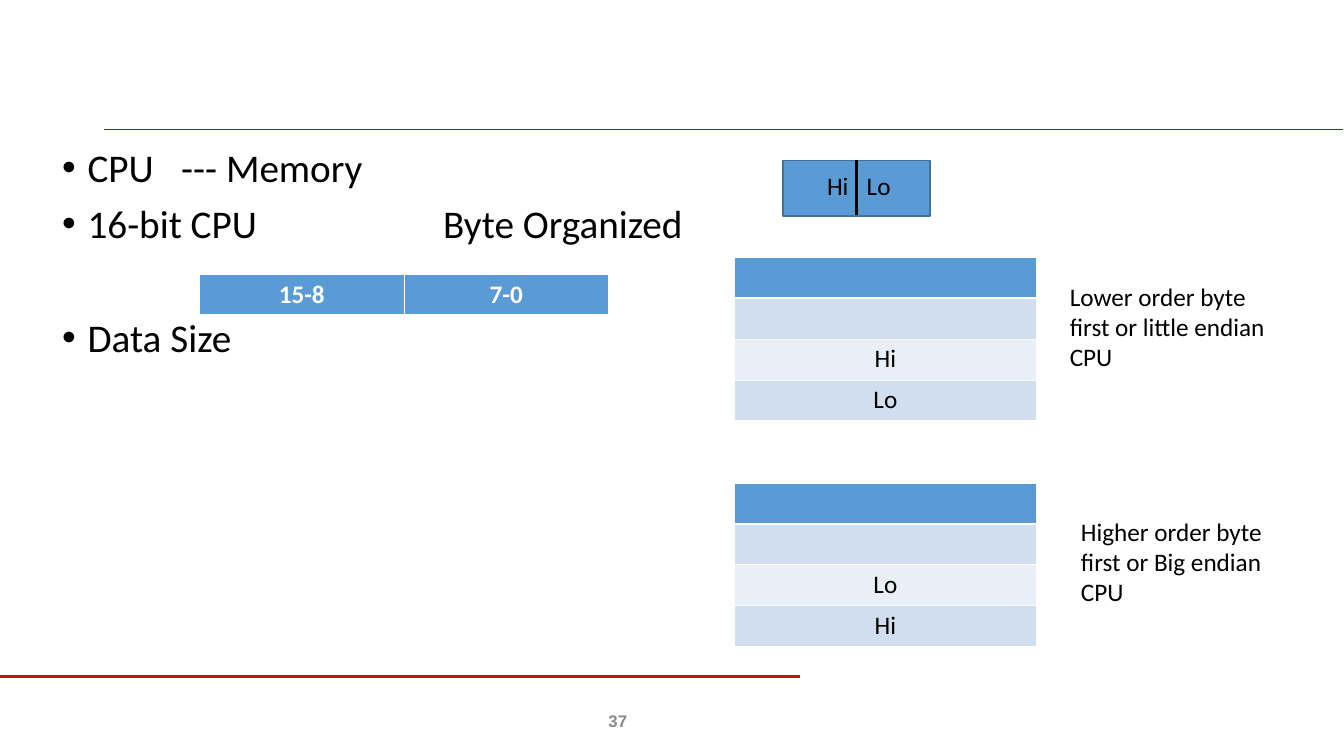
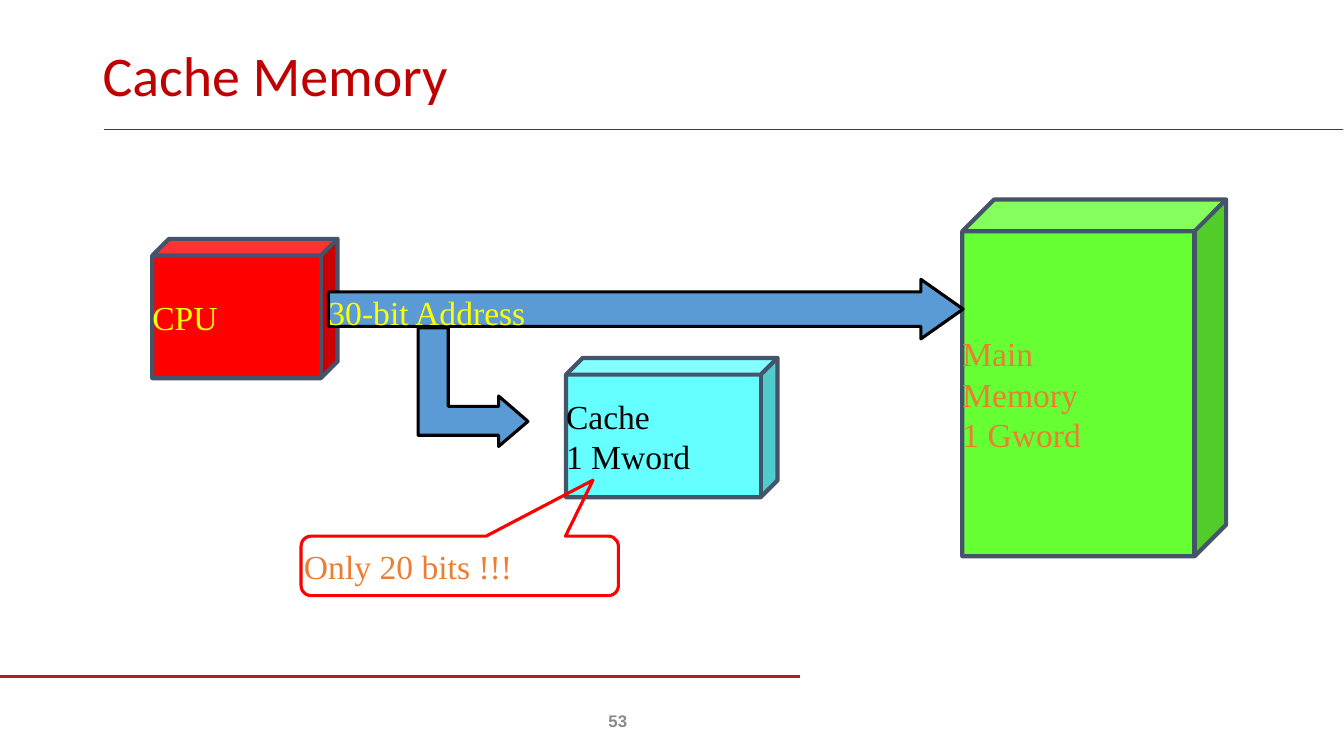
from dataclasses import dataclass

from lxml import etree
from pptx import Presentation
from pptx.dml.color import RGBColor
from pptx.enum.shapes import MSO_CONNECTOR, MSO_SHAPE
from pptx.enum.text import MSO_ANCHOR, PP_ALIGN
from pptx.oxml import parse_xml
from pptx.oxml.ns import nsdecls, qn
from pptx.util import Cm, Pt


@dataclass(frozen=True)
class Theme:
    title: str = "C00000"
    footer_rule: str = "B71C18"
    blue: str = "5B9BD5"
    blue_edge: str = "42719B"
    band_dark: str = "D1DEEF"
    band_light: str = "E9EFF7"
    slate: str = "44546A"
    red: str = "FF0000"
    cyan: str = "66FFFF"
    green: str = "66FF33"
    yellow: str = "FFFF00"
    orange: str = "ED7D31"
    grey: str = "898989"
    black: str = "000000"
    white: str = "FFFFFF"
    sans: str = "Calibri"
    serif: str = "Times New Roman"
    number: str = "Arial"
    title_size: int = 40
    body_size: int = 28
    diagram_size: int = 24
    label_size: int = 18
    number_size: int = 12


T = Theme()


def rgb(color):
    return RGBColor.from_string(color)


def write(tf, text, size=T.label_size, font=T.sans, color=T.black, bold=False,
          align=PP_ALIGN.LEFT, line=None, before=(), bullet=False, tabs=()):
    for i, words in enumerate(text.split("\n")):
        p = tf.paragraphs[0] if i == 0 else tf.add_paragraph()
        p.alignment = align
        if line:
            p.line_spacing = line
        if before:
            p.space_before = Pt(before[i])
        pPr = p._p.get_or_add_pPr()
        if bullet:
            pPr.set("marL", str(Cm(0.64)))
            pPr.set("indent", str(-Cm(0.64)))
            etree.SubElement(pPr, qn("a:buFont"), typeface="Arial")
            etree.SubElement(pPr, qn("a:buChar"), char="•")
        if tabs and tabs[i]:
            stops = etree.SubElement(pPr, qn("a:tabLst"))
            etree.SubElement(stops, qn("a:tab"), pos=str(Cm(tabs[i])), algn="l")
        r = p.add_run()
        r.text = words
        r.font.size = Pt(size)
        r.font.name = font
        r.font.bold = bold
        r.font.color.rgb = rgb(color)


class Deck:
    def __init__(self):
        self.prs = Presentation()
        self.prs.slide_width, self.prs.slide_height = Cm(33.88), Cm(19.05)
        self.s = None

    def slide(self, number, title=None):
        self.s = self.prs.slides.add_slide(self.prs.slide_layouts[6])
        self.line(2.62, 3.25, 33.86, 3.25, T.title, 0.5)
        self.line(20.17, 17.04, 0, 17.04, T.footer_rule, 2.25)
        if title:
            self.text(2.34, 1.02, 29.21, 1.9, title, anchor=MSO_ANCHOR.MIDDLE,
                      size=T.title_size, color=T.title, line=0.9)
        self.text(14.1, 17.65, 1.96, 1.02, str(number), anchor=MSO_ANCHOR.MIDDLE,
                  size=T.number_size, font=T.number, color=T.grey, bold=True,
                  align=PP_ALIGN.RIGHT)

    def line(self, x1, y1, x2, y2, color, width):
        c = self.s.shapes.add_connector(MSO_CONNECTOR.STRAIGHT,
                                        Cm(x1), Cm(y1), Cm(x2), Cm(y2))
        c.line.color.rgb = rgb(color)
        c.line.width = Pt(width)
        etree.SubElement(c._element.spPr, qn("a:effectLst"))

    def text(self, x, y, w, h, text, anchor=MSO_ANCHOR.TOP, **fmt):
        tf = self.s.shapes.add_textbox(Cm(x), Cm(y), Cm(w), Cm(h)).text_frame
        tf.word_wrap = True
        tf.vertical_anchor = anchor
        write(tf, text, **fmt)

    def paint(self, sp, fill, edge, width):
        sp.shadow.inherit = False
        if fill:
            sp.fill.solid()
            sp.fill.fore_color.rgb = rgb(fill)
        else:
            sp.fill.background()
        sp.line.color.rgb = rgb(edge)
        sp.line.width = Pt(width)

    def shape(self, kind, x, y, w, h, fill, edge, width, adj=(), text=None,
              color=T.black, anchor=MSO_ANCHOR.MIDDLE):
        sp = self.s.shapes.add_shape(kind, Cm(x), Cm(y), Cm(w), Cm(h))
        for i, value in enumerate(adj):
            sp.adjustments[i] = value
        self.paint(sp, fill, edge, width)
        if text:
            tf = sp.text_frame
            tf.word_wrap = True
            tf.vertical_anchor = anchor
            tf.margin_left = tf.margin_right = tf.margin_top = tf.margin_bottom = 0
            write(tf, text, size=T.diagram_size, font=T.serif, color=color)

    def cube(self, x, y, w, h, fill, text, color):
        self.shape(MSO_SHAPE.CUBE, x, y, w, h, fill, T.slate, 3, (0.12,), text, color)

    def outline(self, points, fill, edge, width):
        points = [(Cm(x), Cm(y)) for x, y in points]
        fb = self.s.shapes.build_freeform(*points[0], scale=1.0)
        fb.add_line_segments(points[1:], close=True)
        self.paint(fb.convert_to_shape(), fill, edge, width)

    def table(self, x, y, w, rows):
        row_h = 1.03
        tbl = self.s.shapes.add_table(len(rows), len(rows[0]), Cm(x), Cm(y),
                                      Cm(w), Cm(row_h * len(rows))).table
        tbl.first_row = tbl.horz_banding = False
        for i, row in enumerate(rows):
            fill = (T.band_dark if i % 2 else T.band_light) if i else T.blue
            for j, text in enumerate(row):
                cell = tbl.cell(i, j)
                self.borders(cell, top=1.47 if i == 1 else 0.45,
                             bottom=0.45 if i else 1.47)
                cell.fill.solid()
                cell.fill.fore_color.rgb = rgb(fill)
                cell.margin_left = cell.margin_right = Cm(0.33)
                if text:
                    write(cell.text_frame, text, bold=i == 0, align=PP_ALIGN.CENTER,
                          color=T.black if i else T.white)

    def borders(self, cell, top, bottom):
        tcPr = cell._tc.get_or_add_tcPr()
        for side, width in (("L", 0.45), ("R", 0.45), ("T", top), ("B", bottom)):
            tcPr.append(parse_xml(
                f'<a:ln{side} {nsdecls("a")} w="{Pt(width)}"><a:solidFill>'
                f'<a:srgbClr val="{T.white}"/></a:solidFill></a:ln{side}>'))


def byte_order(deck):
    deck.slide(37)
    deck.shape(MSO_SHAPE.RECTANGLE, 19.74, 4.04, 3.71, 1.4, T.blue, T.blue_edge, 1)
    deck.line(21.59, 4.04, 21.59, 5.42, T.black, 1.5)
    deck.text(1.32, 3.61, 27.79, 13.34,
              "CPU\t--- Memory\n16-bit CPU\tByte Organized\nData Size",
              size=T.body_size, line=0.9, before=(10, 10, 51), bullet=True,
              tabs=(3, 9.6, None))
    deck.table(5.03, 6.91, 10.31, [["15-8", "7-0"]])
    for y, cells, note_x, note_y, note in (
            (6.48, ("Hi", "Lo"), 26.72, 6.96,
             "Lower order byte first or little endian CPU"),
            (12.17, ("Lo", "Hi"), 27, 12.88,
             "Higher order byte first or Big endian CPU")):
        deck.table(18.52, y, 7.6, [[text] for text in ("", "", *cells)])
        deck.text(note_x, note_y, 5.56, 2.54, note)
    deck.text(20.6, 4.17, 3.43, 1.02, "Hi\tLo", tabs=(1,))


def cache_memory(deck):
    deck.slide(53, "Cache Memory")
    deck.cube(3.84, 6.02, 4.67, 3.51, T.red, "CPU", T.yellow)
    deck.cube(14.27, 9.02, 5.33, 3.51, T.cyan, "Cache\n1 Mword", T.black)
    deck.cube(24.26, 5.03, 6.65, 8.99, T.green, "Main\nMemory\n1 Gword", T.orange)
    deck.shape(MSO_SHAPE.RIGHT_ARROW, 8.28, 7.04, 16, 1.5, T.blue, T.black, 2.25,
               (0.58, 0.71), "30-bit Address", T.yellow, MSO_ANCHOR.TOP)
    deck.outline([(13.31, 10.62), (12.57, 9.98), (12.57, 10.24), (11.3, 10.24),
                  (11.3, 8.26), (10.54, 8.26), (10.54, 10.97), (12.57, 10.97),
                  (12.57, 11.25)], T.blue, T.black, 2.25)
    deck.shape(MSO_SHAPE.ROUNDED_RECTANGULAR_CALLOUT, 7.59, 13.51, 8, 1.5, None,
               T.red, 2.25, (0.42, -1.44, 0.17), "Only 20 bits !!!", T.orange)


def main():
    deck = Deck()
    byte_order(deck)
    cache_memory(deck)
    deck.prs.save("out.pptx")


if __name__ == "__main__":
    main()
